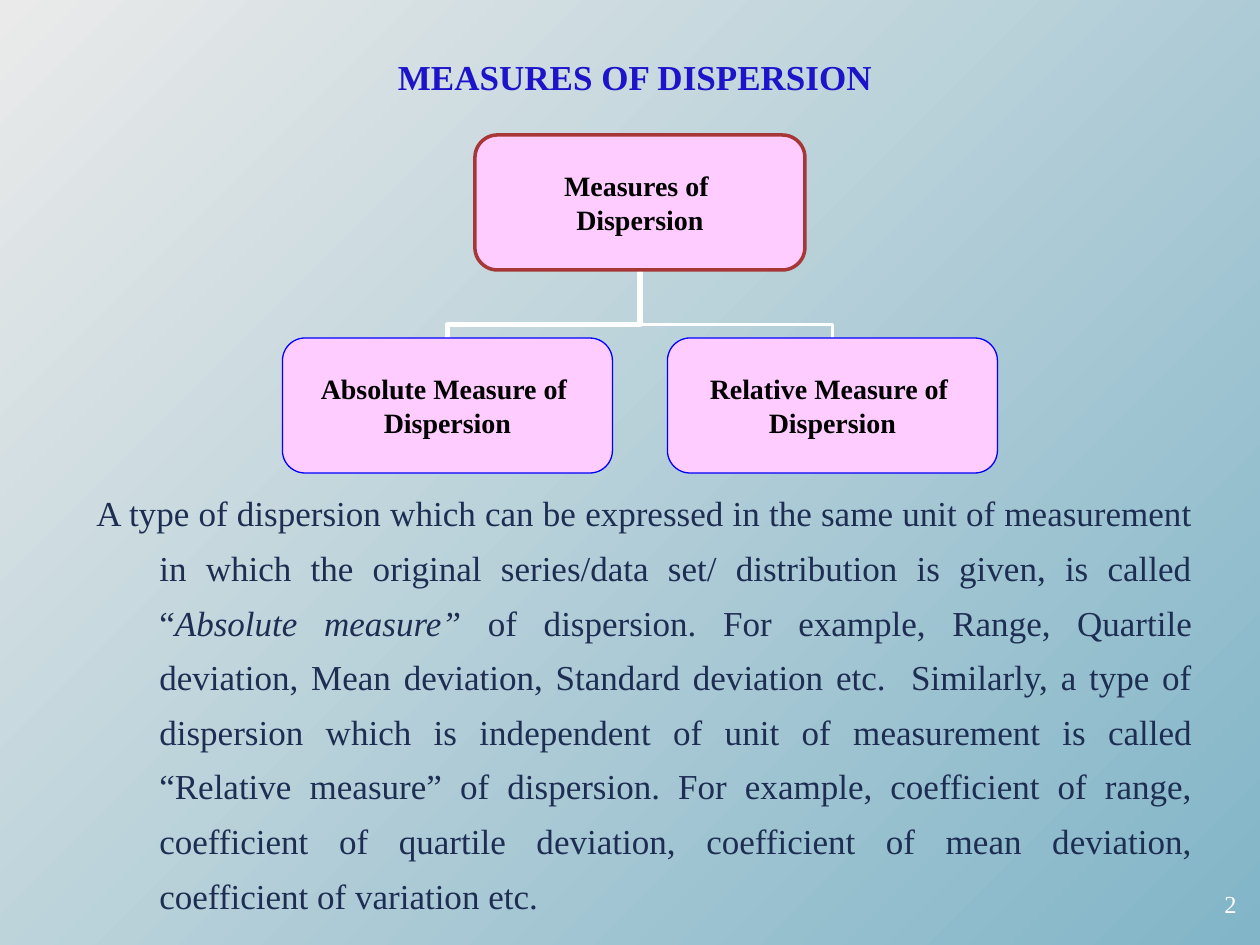
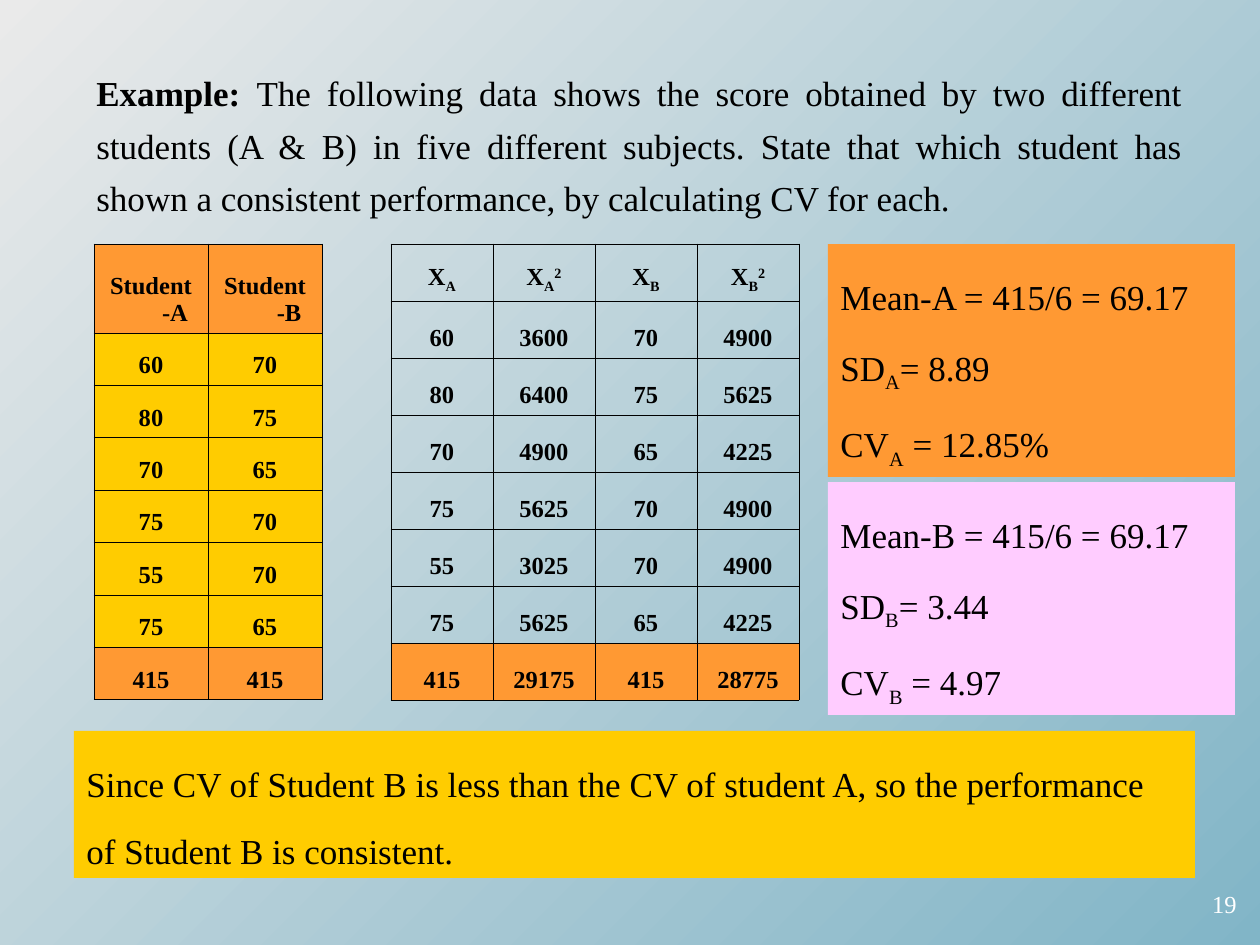
from lxml import etree
from pptx import Presentation
from pptx.dml.color import RGBColor
from pptx.enum.shapes import MSO_CONNECTOR, MSO_SHAPE
from pptx.enum.text import MSO_ANCHOR, MSO_AUTO_SIZE, PP_ALIGN
from pptx.oxml.ns import qn
from pptx.util import Pt

LEFT, CENTER, RIGHT, JUSTIFY = PP_ALIGN.LEFT, PP_ALIGN.CENTER, PP_ALIGN.RIGHT, PP_ALIGN.JUSTIFY
TOP, MIDDLE, BOTTOM = MSO_ANCHOR.TOP, MSO_ANCHOR.MIDDLE, MSO_ANCHOR.BOTTOM
ELBOW = MSO_CONNECTOR.ELBOW
RECTANGLE, ROUNDED = MSO_SHAPE.RECTANGLE, MSO_SHAPE.ROUNDED_RECTANGLE

# Shared look
EMU_PER_PX = 914400 / 126
SLIDE_SIZE = (1260, 945)
FONT = "Times New Roman"
BLACK = RGBColor(0x00, 0x00, 0x00)
WHITE = RGBColor(0xFF, 0xFF, 0xFF)
MIST = RGBColor(0xEA, 0xEA, 0xEA)
TEAL = RGBColor(0x81, 0xB5, 0xC7)
TITLE_BLUE = RGBColor(0x1C, 0x13, 0xCB)
NAVY = RGBColor(0x1E, 0x2E, 0x53)
PINK = RGBColor(0xFF, 0xCC, 0xFF)
BRICK = RGBColor(0xA7, 0x37, 0x37)
BLUE = RGBColor(0x00, 0x00, 0xFF)
ORANGE = RGBColor(0xFF, 0x99, 0x33)
YELLOW = RGBColor(0xFF, 0xCC, 0x00)
BASELINES = {"sub": "-25000", "super": "30000"}

# Content: a paragraph is a list of (text, style) spans
TITLE = "MEASURES OF DISPERSION"
ROOT = ["Measures of ", "Dispersion"]
BRANCHES = [
    ["Absolute Measure of ", "Dispersion"],
    ["Relative Measure of ", "Dispersion"],
]
DEFINITION = [
    ("A type of dispersion which can be expressed in the same unit of measurement "
     "in which the original series/data set/ distribution is given, is called “", ""),
    ("Absolute measure” ", "italic"),
    ("of dispersion. For example, Range, Quartile deviation, Mean deviation, "
     "Standard deviation etc.  Similarly, a type of dispersion which is independent "
     "of unit of measurement is called “Relative measure” of dispersion. For example, "
     "coefficient of range, coefficient of quartile deviation, coefficient of mean "
     "deviation, coefficient of variation etc. ", ""),
]
EXAMPLE = [
    ("Example: ", "bold"),
    ("The following data shows the score obtained by two different students (A & B) "
     "in five different subjects. State that which student has shown a consistent "
     "performance, by calculating CV for each. ", ""),
]
SCORES = [
    ("Student-A", "Student-B"),
    ("60", "70"),
    ("80", "75"),
    ("70", "65"),
    ("75", "70"),
    ("55", "70"),
    ("75", "65"),
    ("415", "415"),
]
SQUARES = [
    ([("X", ""), ("A", "sub")], [("X", ""), ("A", "sub"), ("2", "super")],
     [("X", ""), ("B", "sub")], [("X", ""), ("B", "sub"), ("2", "super")]),
    ("60", "3600", "70", "4900"),
    ("80", "6400", "75", "5625"),
    ("70", "4900", "65", "4225"),
    ("75", "5625", "70", "4900"),
    ("55", "3025", "70", "4900"),
    ("75", "5625", "65", "4225"),
    ("415", "29175", "415", "28775"),
]
RESULTS = [
    ("A", "415/6 = 69.17", "= 8.89", " = 12.85%", ORANGE),
    ("B", "415/6 = 69.17", "= 3.44", " = 4.97", PINK),
]
CONCLUSION = ("Since CV of Student B is less than the CV of student A, "
              "so the performance of Student B is consistent.")


def px(*lengths):
    return [round(length * EMU_PER_PX) for length in lengths]


def write(frame, paragraphs, size=20, color=BLACK, bold=False, align=LEFT,
          spacing=None, hanging=0):
    for index, spans in enumerate(paragraphs):
        para = frame.add_paragraph() if index else frame.paragraphs[0]
        para.alignment = align
        if spacing:
            para.line_spacing = spacing
        if hanging:
            indent = px(hanging)[0]
            properties = para._p.get_or_add_pPr()
            properties.set("marL", str(indent))
            properties.set("indent", str(-indent))
        font = para.font
        font.name, font.size, font.bold = FONT, Pt(size), bold
        font.color.rgb = color
        for text, style in [(spans, "")] if isinstance(spans, str) else spans:
            span = para.add_run()
            span.text = text
            if style == "bold":
                span.font.bold = True
            elif style == "italic":
                span.font.italic = True
            elif style:
                span._r.get_or_add_rPr().set("baseline", BASELINES[style])


def add_text(page, place, paragraphs, anchor=TOP, **style):
    frame = page.shapes.add_textbox(*px(*place)).text_frame
    frame.word_wrap = True
    frame.vertical_anchor = anchor
    write(frame, paragraphs, **style)


def add_panel(page, kind, place, fill, paragraphs, border=None, width=0, anchor=TOP,
              **style):
    panel = page.shapes.add_shape(kind, *px(*place))
    panel.shadow.inherit = False
    panel.fill.solid()
    panel.fill.fore_color.rgb = fill
    if border is None:
        panel.line.fill.background()
    else:
        panel.line.color.rgb = border
        panel.line.width = Pt(width)
    panel.text_frame.word_wrap = True
    panel.text_frame.vertical_anchor = anchor
    write(panel.text_frame, paragraphs, **style)
    return panel


def add_branch_line(page, parent, child, width):
    """Elbow that leaves the child upwards, turned a quarter so it runs vertically."""
    middle_x, middle_y = (parent[0] + child[0]) / 2, (parent[1] + child[1]) / 2
    rise, reach = (child[1] - parent[1]) / 2, abs(child[0] - parent[0]) / 2
    on_right = child[0] > parent[0]
    side = -rise if on_right else rise
    line = page.shapes.add_connector(ELBOW, *px(
        middle_x + side, middle_y + reach, middle_x - side, middle_y - reach))
    line.line.color.rgb = WHITE
    line.line.width = Pt(width)
    properties = line._element.spPr
    properties.find(qn("a:xfrm")).set("rot", str((270 if on_right else 90) * 60000))
    geometry = properties.find(qn("a:prstGeom"))
    adjustments = geometry.find(qn("a:avLst"))
    if adjustments is None:
        adjustments = etree.SubElement(geometry, qn("a:avLst"))
    etree.SubElement(adjustments, qn("a:gd"), name="adj1", fmla="val 19800")
    etree.SubElement(properties, qn("a:effectLst"))


def add_borders(cell):
    properties = cell._tc.get_or_add_tcPr()
    for index, edge in enumerate(("lnL", "lnR", "lnT", "lnB")):
        line = etree.Element(qn(f"a:{edge}"), w=str(Pt(0.45)))
        fill = etree.SubElement(line, qn("a:solidFill"))
        etree.SubElement(fill, qn("a:srgbClr"), val=str(BLACK))
        properties.insert(index, line)


def add_grid(page, place, rows, header_height, fills, hanging=0):
    """Table with one header height, equal other rows, and header/body/total fills."""
    height = place[3]
    table = page.shapes.add_table(len(rows), len(rows[0]), *px(*place)).table
    table.first_row = table.horz_banding = False
    row_height = (height - header_height) / (len(rows) - 1)
    for index, values in enumerate(rows):
        table.rows[index].height = px(row_height if index else header_height)[0]
        fill = fills[0] if index == 0 else fills[2] if index == len(rows) - 1 else fills[1]
        for column, value in enumerate(values):
            cell = table.cell(index, column)
            cell.vertical_anchor = BOTTOM
            if fill is None:
                cell.fill.background()
            else:
                cell.fill.solid()
                cell.fill.fore_color.rgb = fill
            add_borders(cell)
            write(cell.text_frame, [value], size=14, bold=True, align=CENTER,
                  hanging=hanging)


def add_page(deck, layout, number):
    page = deck.slides.add_slide(deck.slide_layouts[layout])
    add_text(page, (987, 872, 262, 63), [number], MIDDLE,
             size=14, color=WHITE, align=RIGHT)
    return page


def build_measures(deck):
    page = add_page(deck, 5, "2")
    title = page.shapes.title
    title.left, title.top, title.width, title.height = px(223, 35, 824, 69)
    title.text_frame.auto_size = MSO_AUTO_SIZE.NONE
    title.text_frame.vertical_anchor = BOTTOM
    write(title.text_frame, [TITLE], color=TITLE_BLUE, bold=True, align=CENTER)

    # Tree: root centred over two branches
    node_width, node_height, gap = 330, 135, 55
    root_x, root_y, branch_y = 640, 135, 338
    step = (node_width + gap) / 2
    centers = [root_x - step, root_x + step]
    for center, width in zip(reversed(centers), (2.25, 3)):
        add_branch_line(page, (root_x, root_y + node_height), (center, branch_y), width)
    nodes = [(root_x, root_y, ROOT, BRICK, 2)]
    nodes += [(center, branch_y, lines, BLUE, 0.75)
              for center, lines in zip(centers, BRANCHES)]
    for center, top, lines, border, width in nodes:
        place = (center - node_width / 2, top, node_width, node_height)
        node = add_panel(page, ROUNDED, place, PINK, lines, border, width, MIDDLE,
                         size=16, bold=True, align=CENTER)
        frame = node.text_frame
        frame.margin_left = frame.margin_right = frame.margin_top = frame.margin_bottom = 0

    add_text(page, (84, 473, 1121, 450), [DEFINITION],
             color=NAVY, align=JUSTIFY, spacing=1.3, hanging=63)


def build_example(deck):
    page = add_page(deck, 6, "19")
    add_text(page, (84, 55, 1111, 170), [EXAMPLE], align=JUSTIFY, spacing=1.25)

    # Tables share one top and height
    top, height = 244, 456
    add_grid(page, (94, top, 228, height), SCORES, 89, (ORANGE, YELLOW, ORANGE), 48)
    add_grid(page, (391, top, 408, height), SQUARES, 57, (None, None, ORANGE))

    # One result panel for each student, then the conclusion
    for index, (student, mean, deviation, variation, fill) in enumerate(RESULTS):
        lines = [f"Mean-{student} = {mean}",
                 [("SD", ""), (student, "sub"), (deviation, "")],
                 [("CV", ""), (student, "sub"), (variation, "")]]
        add_panel(page, RECTANGLE, (828, top + index * 238, 407, 233), fill, lines,
                  spacing=1.6)
    add_panel(page, RECTANGLE, (74, 731, 1121, 147), YELLOW, [CONCLUSION], spacing=1.6)


def main():
    deck = Presentation()
    deck.slide_width, deck.slide_height = px(*SLIDE_SIZE)
    background = deck.slide_master.background.fill
    background.gradient()
    background.gradient_angle = 315
    for stop, color in zip(background.gradient_stops, (MIST, TEAL)):
        stop.color.rgb = color
    build_measures(deck)
    build_example(deck)
    deck.save("out.pptx")


if __name__ == "__main__":
    main()
